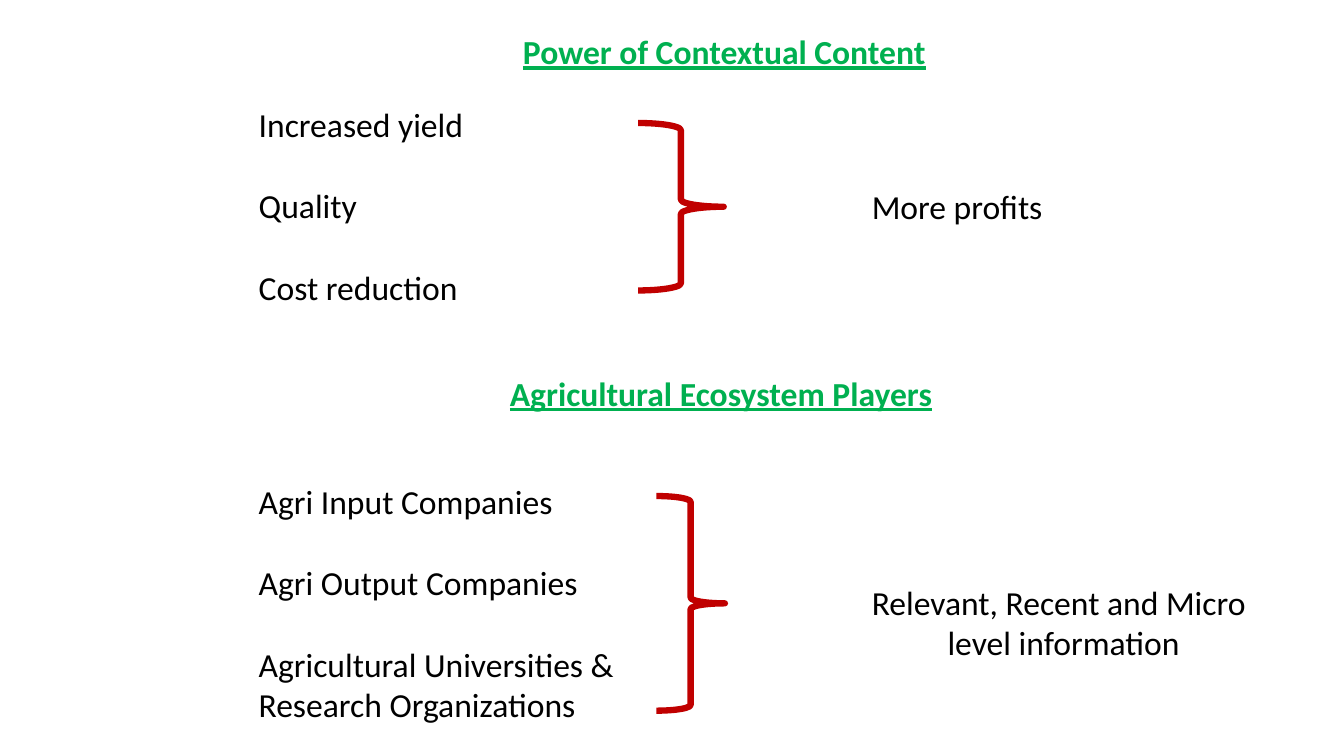
from dataclasses import dataclass

from pptx import Presentation
from pptx.dml.color import RGBColor
from pptx.enum.shapes import MSO_SHAPE as Preset
from pptx.enum.text import MSO_ANCHOR as Anchor
from pptx.util import Cm, Pt


@dataclass(frozen=True)
class Theme:
    font: str = "Calibri"
    size: float = 24
    ink: str = "000000"
    heading: str = "00B050"
    brace: str = "C00000"
    brace_width: float = 4.5
    item_gap: float = 29.3


def write(frame, lines, *, theme, color, bold=False, gap=0, hanging=0):
    frame.word_wrap = False
    frame.vertical_anchor = Anchor.TOP
    for index, line in enumerate(lines):
        paragraph = frame.add_paragraph() if index else frame.paragraphs[0]
        paragraph.text = line
        if index < len(lines) - 1:
            paragraph.space_after = Pt(gap)
        if hanging:
            properties = paragraph._p.get_or_add_pPr()
            properties.set("marL", str(Cm(hanging)))
            properties.set("indent", str(-Cm(hanging)))
        for run in paragraph.runs:
            font = run.font
            font.name, font.size = theme.font, Pt(theme.size)
            font.bold = font.underline = bold
            font.color.rgb = RGBColor.from_string(color)


class Board:
    """Draws headings, lists, braces and outcomes on one slide."""

    def __init__(self, slide, theme):
        self.shapes, self.theme = slide.shapes, theme

    def text(self, box, lines, **style):
        frame = self.shapes.add_textbox(*map(Cm, box)).text_frame
        write(frame, lines, theme=self.theme, **style)

    def heading(self, box, title):
        self.text(box, [title], color=self.theme.heading, bold=True)

    def items(self, box, lines):
        self.text(box, lines, color=self.theme.ink, gap=self.theme.item_gap)

    def outcome(self, box, line, hanging=0):
        self.text(box, [line], color=self.theme.ink, hanging=hanging)

    def brace(self, box):
        brace = self.shapes.add_shape(Preset.RIGHT_BRACE, *map(Cm, box))
        brace.shadow.inherit = False
        brace.fill.background()
        brace.line.color.rgb = RGBColor.from_string(self.theme.brace)
        brace.line.width = Pt(self.theme.brace_width)


deck = Presentation()
deck.slide_width, deck.slide_height = Cm(33.87), Cm(19.05)
board = Board(deck.slides.add_slide(deck.slide_layouts[6]), Theme())

items_left, outcome_left = 6.27, 21.72

board.heading((12.93, 0.66, 10.67, 1.27), "Power of Contextual Content")
board.items((items_left, 2.49, 5.72, 5.41), ["Increased yield", "Quality", "Cost reduction"])
board.brace((16.08, 3.1, 2.16, 4.22))
board.outcome((outcome_left, 4.57, 4.85, 1.27), "More profits")

board.heading((12.6, 9.27, 11.25, 1.27), "Agricultural Ecosystem Players")
board.items(
    (items_left, 11.99, 9.55, 6.4),
    ["Agri Input Companies", "Agri Output Companies",
     "Agricultural Universities &\vResearch Organizations"],
)
board.brace((16.54, 12.5, 1.73, 5.41))
board.outcome((outcome_left, 14.53, 9.96, 2.31),
              "Relevant, Recent and Micro\vlevel information", hanging=1.91)

deck.save("out.pptx")
